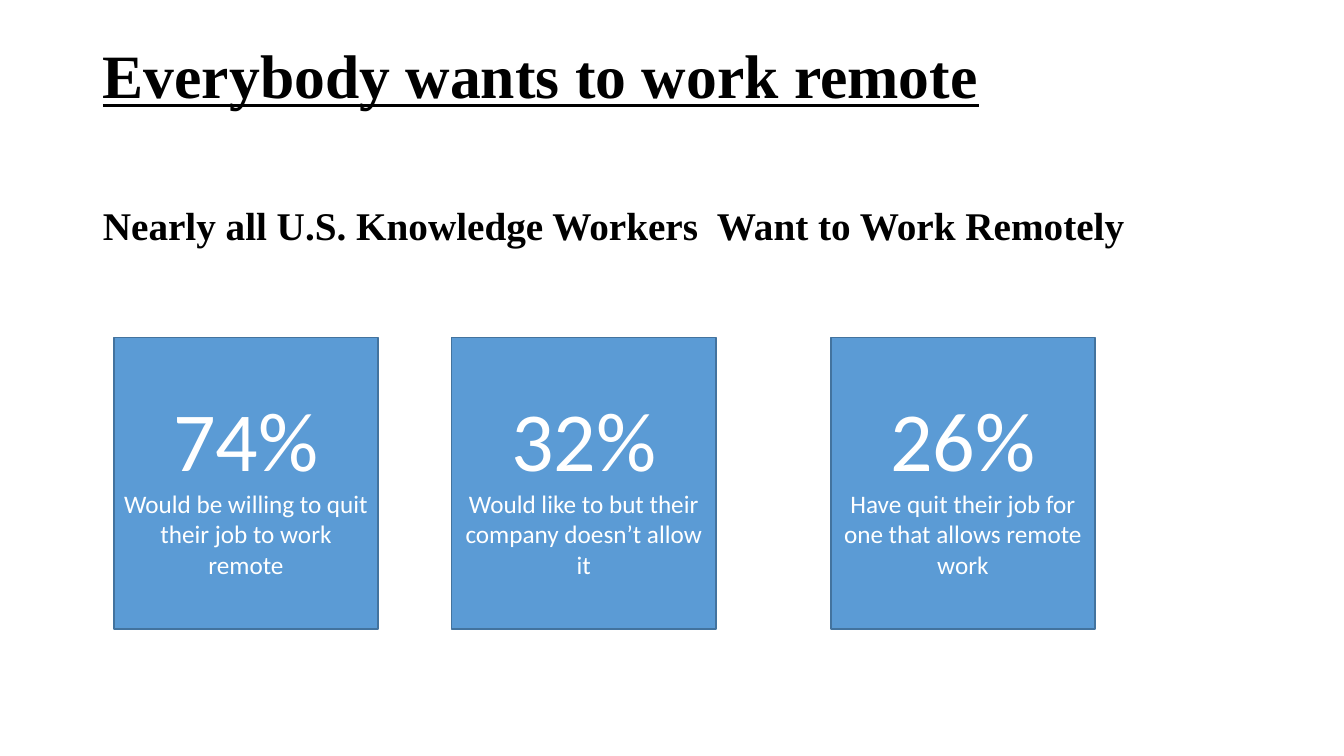
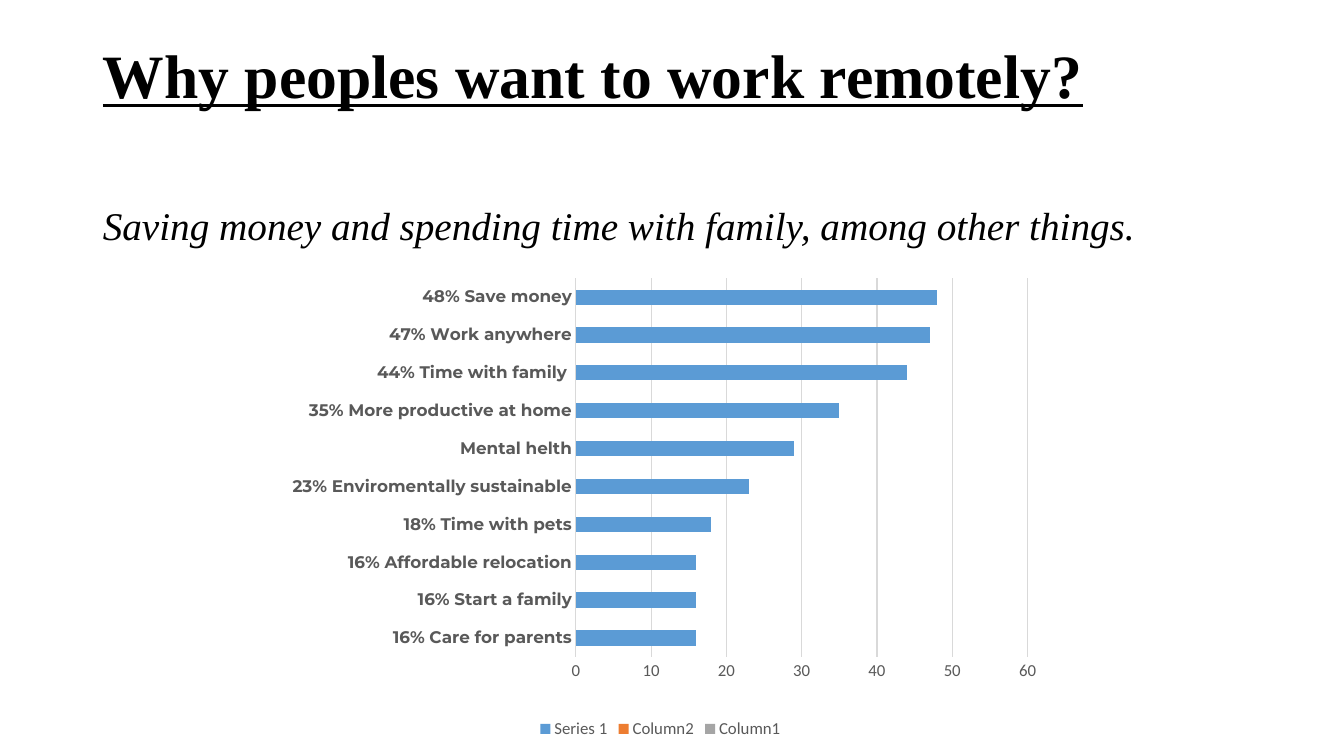
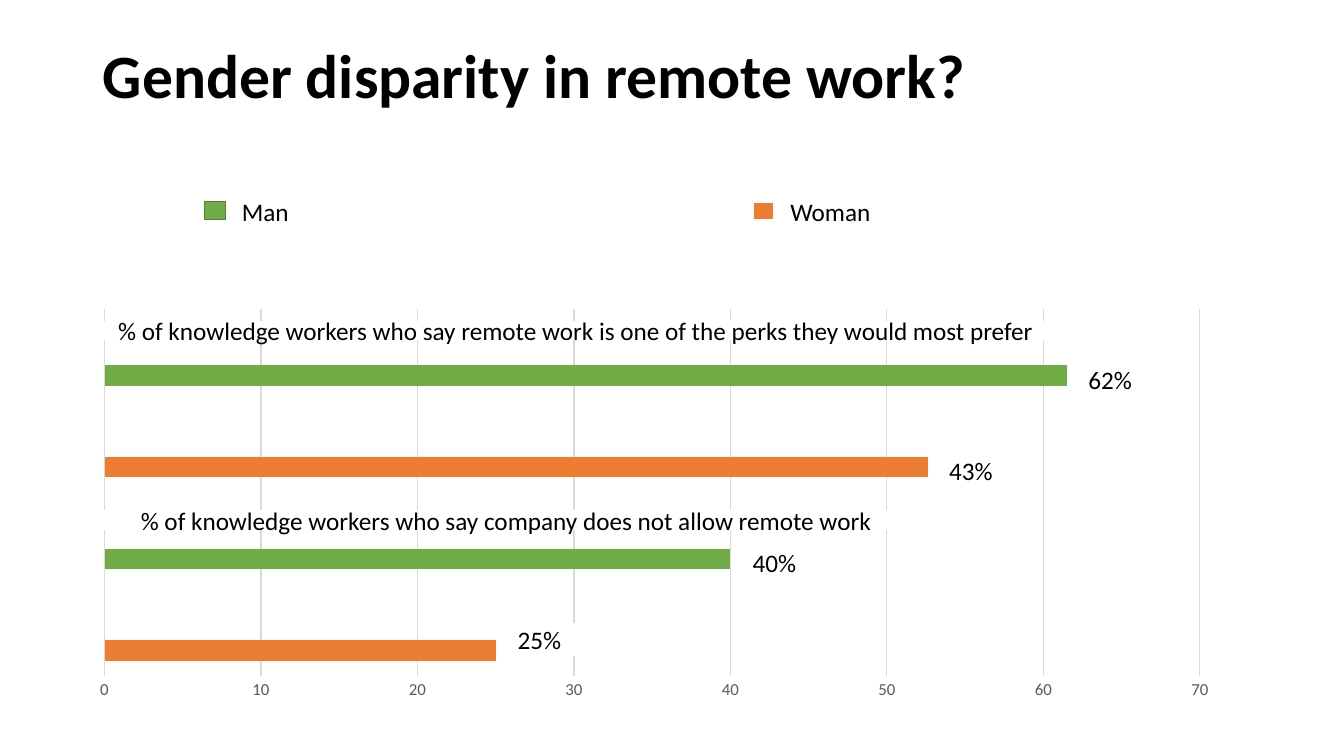
import pptx
import pptx.chart.data
import pptx.dml.color
import pptx.enum.chart
import pptx.enum.shapes
import pptx.enum.text
import pptx.oxml.ns
import pptx.oxml.xmlchemy
import pptx.util
from lxml import etree

Inches = pptx.util.Inches
Pt = pptx.util.Pt
ALIGN = pptx.enum.text.PP_ALIGN
ANCHOR = pptx.enum.text.MSO_ANCHOR
CHART = pptx.enum.chart.XL_CHART_TYPE
qn = pptx.oxml.ns.qn
new_element = pptx.oxml.xmlchemy.OxmlElement

SERIF = "Times New Roman"
SANS = "Calibri"
BLACK, WHITE, GREY, GRID = "000000", "FFFFFF", "595959", "D9D9D9"
BLUE, BLUE_EDGE = "5B9BD5", "43739E"
GREEN, GREEN_EDGE = "70AD47", "538035"
ORANGE, SILVER = "ED7D31", "A5A5A5"


def rgb(value):
    return pptx.dml.color.RGBColor.from_string(value)


class Deck:
    def __init__(self):
        self.prs = pptx.Presentation()
        self.prs.slide_width = Inches(13.33)
        self.prs.slide_height = Inches(7.5)
        self.slide = None

    def style(self, font, size, color, name=SANS, **flags):
        font.size = Pt(size)
        font.name = name
        font.color.rgb = rgb(color)
        for flag, value in flags.items():
            setattr(font, flag, value)

    def fill_placeholder(self, placeholder, place, text, size, name, **flags):
        placeholder.left, placeholder.top, placeholder.width, placeholder.height = map(Inches, place)
        frame = placeholder.text_frame
        frame.text = text
        frame.auto_size = pptx.enum.text.MSO_AUTO_SIZE.NONE
        frame.vertical_anchor = ANCHOR.TOP
        paragraph = frame.paragraphs[0]
        paragraph.alignment = ALIGN.LEFT
        paragraph.line_spacing = 0.9
        self.style(paragraph.font, size, BLACK, name, **flags)
        return paragraph

    def new_slide(self, title, subtitle=None, name=SERIF, underline=True, **subtitle_flags):
        layout = self.prs.slide_layouts[1 if subtitle else 5]
        self.slide = self.prs.slides.add_slide(layout)
        self.fill_placeholder(self.slide.shapes.title, (0.92, 0.4, 11.5, 1.45), title, 44, name,
                              bold=True, underline=underline)
        if subtitle:
            lead = self.fill_placeholder(self.slide.placeholders[1], (0.92, 2, 11.5, 4.76),
                                         subtitle, 28, name, **subtitle_flags)
            lead.space_before = Pt(10)
            properties = lead._p.get_or_add_pPr()
            properties.set("marL", "0")
            properties.set("indent", "0")
            properties.insert_element_before(new_element("a:buNone"), "a:tabLst", "a:defRPr", "a:extLst")

    def box(self, place, lines=(), fill=WHITE, edge=WHITE, color=BLACK, edge_width=1, align=ALIGN.CENTER):
        shape = self.slide.shapes.add_shape(pptx.enum.shapes.MSO_SHAPE.RECTANGLE, *map(Inches, place))
        shape.shadow.inherit = False
        shape.fill.solid()
        shape.fill.fore_color.rgb = rgb(fill)
        shape.line.color.rgb = rgb(edge)
        shape.line.width = Pt(edge_width)
        frame = shape.text_frame
        frame.word_wrap = True
        frame.vertical_anchor = ANCHOR.MIDDLE
        for index, (text, size) in enumerate(lines):
            paragraph = frame.add_paragraph() if index else frame.paragraphs[0]
            paragraph.text = text
            paragraph.alignment = align
            self.style(paragraph.font, size, color)

    def bar_chart(self, kind, place, plot_area, categories, series, top):
        data = pptx.chart.data.CategoryChartData()
        data.categories = categories
        for label, values, _ in series:
            data.add_series(label, values)
        chart = self.slide.shapes.add_chart(kind, *map(Inches, place), data).chart
        chart.has_title = False
        chart.has_legend = False
        self.style(chart.font, 10, BLACK)
        plot = chart.plots[0]
        plot.vary_by_categories = False
        plot.gap_width = 150
        for bars, (_, _, color) in zip(plot.series, series):
            bars.format.fill.solid()
            bars.format.fill.fore_color.rgb = rgb(color)

        scale = chart.value_axis
        scale.minimum_scale, scale.maximum_scale, scale.major_unit = 0, top, 10
        scale.major_gridlines.format.line.color.rgb = rgb(GRID)
        scale.major_gridlines.format.line.width = Pt(0.75)
        for axis in (scale, chart.category_axis):
            axis.major_tick_mark = pptx.enum.chart.XL_TICK_MARK.NONE
            axis.format.line.fill.background()
            self.style(axis.tick_labels.font, 12, GREY)

        area = chart._chartSpace.find(".//" + qn("c:plotArea"))
        for old in area.findall(qn("c:layout")):
            area.remove(old)
        layout = new_element("c:layout")
        area.insert(0, layout)
        manual = etree.SubElement(layout, qn("c:manualLayout"))
        settings = [("layoutTarget", "inner"), ("xMode", "edge"), ("yMode", "edge")]
        for tag, value in settings + list(zip("xywh", plot_area)):
            etree.SubElement(manual, qn("c:" + tag)).set("val", str(value))
        return chart


deck = Deck()

deck.new_slide("Everybody wants to work remote",
               "Nearly all U.S. Knowledge Workers  Want to Work Remotely", bold=True)
for left, share, finding in (
    (1.13, "74%", "Would be willing to quit their job to work remote"),
    (4.48, "32%", "Would like to but their company doesn’t allow it"),
    (8.24, "26%", "Have quit their job for one that allows remote work"),
):
    deck.box((left, 3.35, 2.62, 2.89), [(share, 60), (finding, 18)], BLUE, BLUE_EDGE, WHITE)

deck.new_slide("Why peoples want to work remotely?",
               "Saving money and spending time with family, among other things.", italic=True)
reasons = {
    "16% Care for parents": 16,
    "16% Start a family": 16,
    "16% Affordable relocation": 16,
    "18% Time with pets": 18,
    "23% Enviromentally sustainable": 23,
    "Mental helth": 29,
    "35% More productive at home": 35,
    "44% Time with family ": 44,
    "47% Work anywhere": 47,
    "48% Save money": 48,
}
blank = [None] * len(reasons)
reasons_chart = deck.bar_chart(
    CHART.BAR_STACKED, (2.6, 2.69, 7.9, 4.68), (0.394, 0.015, 0.567, 0.803), list(reasons),
    [("Series 1", list(reasons.values()), BLUE), ("Column2", blank, ORANGE), ("Column1", blank, SILVER)], 60)
reasons_chart.plots[0].overlap = 100
deck.style(reasons_chart.category_axis.tick_labels.font, 12, GREY, "Montserrat", bold=True)
reasons_chart.has_legend = True
reasons_chart.legend.position = pptx.enum.chart.XL_LEGEND_POSITION.BOTTOM
reasons_chart.legend.include_in_layout = False
deck.style(reasons_chart.legend.font, 12, GREY)

deck.new_slide("Gender disparity in remote work?", name=SANS, underline=False)
blank = [None] * 4
gender_chart = deck.bar_chart(
    CHART.BAR_CLUSTERED, (0.91, 2.18, 11.51, 4.97), (0.011, 0.179, 0.944, 0.732), ["1", "2", "3", "4"],
    [("Series 1", [25, 40, 53, 62], GREEN), ("Series 2", blank, ORANGE), ("Series 3", blank, SILVER)], 70)
gender_chart.category_axis.visible = False
for woman in (0, 2):
    bar_fill = gender_chart.plots[0].series[0].points[woman].format.fill
    bar_fill.solid()
    bar_fill.fore_color.rgb = rgb(ORANGE)

for left, top, question in (
    (0.5, 3.19, "% of knowledge workers who say remote work is one of the perks they would most prefer"),
    (-0.19, 5.07, "% of knowledge workers who say company does not allow remote work"),
):
    deck.box((left, top, 10.42, 0.18), [(question, 18)])

for left, gender, fill, edge, edge_width in (
    (2.03, "Man", GREEN, GREEN_EDGE, 1),
    (7.47, "Woman", ORANGE, WHITE, 1.5),
):
    deck.box((left + 0.27, 1.9, 1.4, 0.4), [(gender, 18)], align=ALIGN.LEFT)
    deck.box((left, 2, 0.21, 0.18), fill=fill, edge=edge, edge_width=edge_width)

for place, share in (
    ((10.59, 3.57, 0.84, 0.39), "62%"),
    ((9.21, 4.47, 0.84, 0.39), "43%"),
    ((7.26, 5.38, 0.84, 0.39), "40%"),
    ((4.99, 6.19, 0.72, 0.31), "25%"),
):
    deck.box(place, [(share, 18)])

deck.prs.save("out.pptx")
